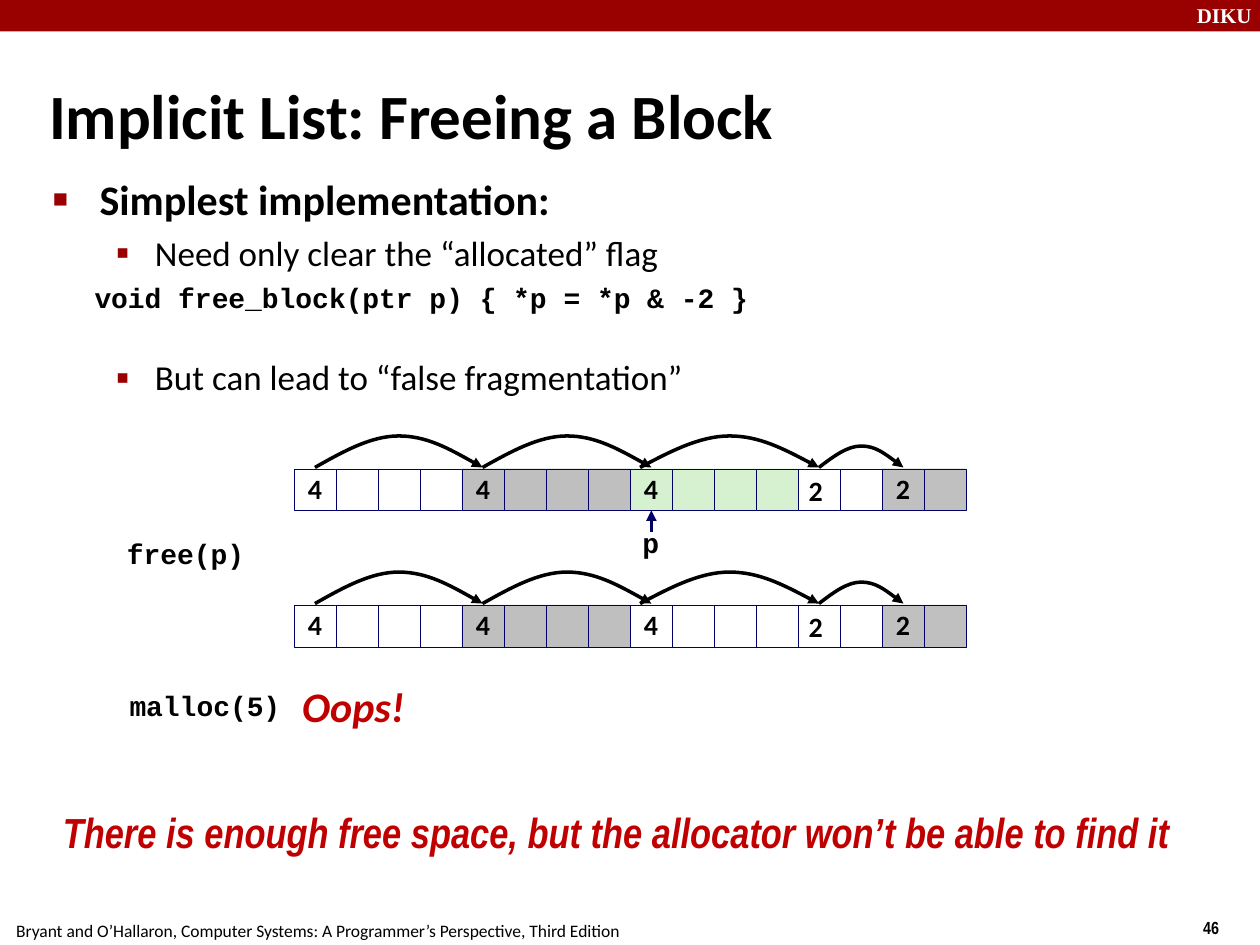
"""Build the slide on freeing a block in an implicit list."""
from lxml.etree import SubElement
from pptx import Presentation
from pptx.dml.color import RGBColor
from pptx.enum.shapes import MSO_CONNECTOR, MSO_SHAPE
from pptx.enum.text import MSO_ANCHOR, MSO_AUTO_SIZE, PP_ALIGN
from pptx.oxml.ns import qn
from pptx.util import Inches, Pt

HUES = {name: RGBColor.from_string(code) for name, code in {
    "bar": "990000", "red": "C00000", "navy": "000066", "black": "000000",
    "white": "FFFFFF", "gray": "BFBFBF", "pale": "C0C0C0", "green": "D5F1CF",
}.items()}


def style(part, size, face="Calibri", hue="black", bold=True, slant=False):
    for run in part.runs:
        font = run.font
        font.size, font.name, font.bold, font.italic = Pt(size), face, bold, slant
        font.color.rgb = HUES[hue]


def stroke(line, hue):
    line.color.rgb = HUES[hue]
    line.width = Pt(2)
    SubElement(line._get_or_add_ln(), qn("a:tailEnd"), type="triangle")


deck = Presentation()
deck.slide_width, deck.slide_height = Inches(10), Inches(7.5)
slide = deck.slides.add_slide(deck.slide_layouts[1])
shapes = slide.shapes

bar = shapes.add_shape(MSO_SHAPE.RECTANGLE, 0, 0, Inches(10), Inches(0.25))
bar.shadow.inherit = False
bar.fill.solid()
bar.fill.fore_color.rgb = HUES["bar"]
bar.line.fill.background()

title = shapes.title
title.left, title.top, title.width, title.height = map(Inches, (0.29, 0.59, 7.87, 0.63))
title.text_frame.text = "Implicit List: Freeing a Block"
title.text_frame.auto_size = MSO_AUTO_SIZE.NONE
title.text_frame.vertical_anchor = MSO_ANCHOR.MIDDLE
title.text_frame.paragraphs[0].alignment = PP_ALIGN.LEFT
style(title.text_frame.paragraphs[0], 36)

body = slide.placeholders[1]
body.left, body.top, body.width, body.height = map(Inches, (0.32, 1.33, 9.08, 4.75))
frame = body.text_frame
frame.auto_size = MSO_AUTO_SIZE.NONE
points = [
    ("Simplest implementation:", 0, 0.37, 0.37, 0, "■", 60, 24, "Calibri", True),
    ("Need only clear the “allocated” flag", 1, 0.81, 0.31, 4, "▪", 110, 20, "Calibri", False),
    ("void free_block(ptr p) { *p = *p & -2 }", 0, 0.33, 0, 4, "", 0, 16, "Courier New", True),
    ("But can lead to “false fragmentation”", 1, 0.81, 0.31, 24, "▪", 110, 20, "Calibri", False),
]
for n, (text, level, left, hang, gap, mark, scale, size, face, bold) in enumerate(points):
    para = frame.add_paragraph() if n else frame.paragraphs[0]
    para.text = text
    para.level = level
    para.space_before = Pt(gap)
    props = para._p.get_or_add_pPr()
    props.set("marL", str(Inches(left)))
    props.set("indent", str(-Inches(hang)))
    if mark:
        tint = SubElement(props, qn("a:buClr"))
        SubElement(tint, qn("a:srgbClr"), val=str(HUES["bar"]))
        SubElement(props, qn("a:buSzPct"), val=str(scale * 1000))
        SubElement(props, qn("a:buChar"), char=mark)
    else:
        SubElement(props, qn("a:buNone"))
    style(para, size, face, "black", bold)

SIDE = 1 / 3
START = 7 / 3
marks = {0: "4", 4: "4", 8: "4", 14: "2"}
arcs = [(2.5, 3.83, 0.25), (3.83, 5.17, 0.25), (5.08, 6.5, 0.25), (6.5, 7.17, 0.17)]
bends = [1, 0.5, 0, 0, 0, 0.5, 1]
for top, freed in ((3.72, "green"), (4.8, "white")):
    fills = ["white"] * 4 + ["gray"] * 4 + [freed] * 4 + ["white"] * 2 + ["pale"] * 2
    for n, hue in enumerate(fills):
        cell = shapes.add_shape(MSO_SHAPE.RECTANGLE, Inches(START + n * SIDE), Inches(top),
                                Inches(SIDE), Inches(SIDE))
        cell.shadow.inherit = False
        cell.fill.solid()
        cell.fill.fore_color.rgb = HUES[hue]
        cell.line.color.rgb = HUES["navy"]
        cell.line.width = Pt(0.25)
        if n in marks:
            cell.text_frame.text = marks[n]
            cell.text_frame.word_wrap = False
            cell.text_frame.vertical_anchor = MSO_ANCHOR.MIDDLE
            para = cell.text_frame.paragraphs[0]
            para.alignment = PP_ALIGN.CENTER
            para.line_spacing = 0.98
            style(para, 16)
    for start, end, rise in arcs:
        spots = [(Inches(start + (end - start) * k / 6),
                  Inches(top - 0.01 - rise * (1 - bend))) for k, bend in enumerate(bends)]
        path = shapes.build_freeform(*spots[0])
        path.add_line_segments(spots[1:], close=False)
        arc = path.convert_to_shape()
        route = next(arc._element.iter(qn("a:path")))
        legs = route.findall(qn("a:lnTo"))
        for first in (0, 3):
            curve = SubElement(route, qn("a:cubicBezTo"))
            for leg in legs[first:first + 3]:
                curve.append(leg[0])
                route.remove(leg)
        arc.shadow.inherit = False
        arc.fill.background()
        stroke(arc.line, "black")

arrow = shapes.add_connector(MSO_CONNECTOR.STRAIGHT, Inches(5.17), Inches(4.22),
                             Inches(5.17), Inches(4.05))
stroke(arrow.line, "navy")
SubElement(arrow._element.spPr, qn("a:effectLst"))

code = (16, "Courier New")
labels = [
    ("DIKU", 9.4, -0.03, 0.67, 0.3, True, 1, (12, "Times New Roman", "white")),
    ("46", 9.45, 7.23, 0.75, 0.29, True, 1, (10, "Arial Narrow")),
    ("Bryant and O’Hallaron, Computer Systems: A Programmer’s Perspective, Third Edition",
     0.03, 7.25, 4.99, 0.27, False, 1, (10, "Calibri", "black", False)),
    ("2", 6.32, 3.72, 0.31, 0.37, False, 0.98, (16,)),
    ("2", 6.32, 4.8, 0.31, 0.37, False, 0.98, (16,)),
    ("free(p)", 0.91, 4.23, 1.13, 0.37, False, 0.94, code),
    ("p", 5, 4.14, 0.33, 0.37, False, 0.94, code),
    ("malloc(5)", 0.93, 5.44, 1.4, 0.37, False, 0.94, code),
    ("Oops!", 2.3, 5.34, 1.01, 0.5, False, 1.02, (24, "Calibri", "red", True, True)),
    ("There is enough free space, but the allocator won’t be able to find it",
     0.4, 6.35, 9.1, 0.8, True, 1, (24, "Arial Narrow", "red", True, True)),
]
for text, left, top, width, height, wrap, space, look in labels:
    box = shapes.add_textbox(Inches(left), Inches(top), Inches(width), Inches(height))
    box.text_frame.text = text
    box.text_frame.word_wrap = wrap
    para = box.text_frame.paragraphs[0]
    para.line_spacing = float(space)
    style(para, *look)

deck.save("out.pptx")
